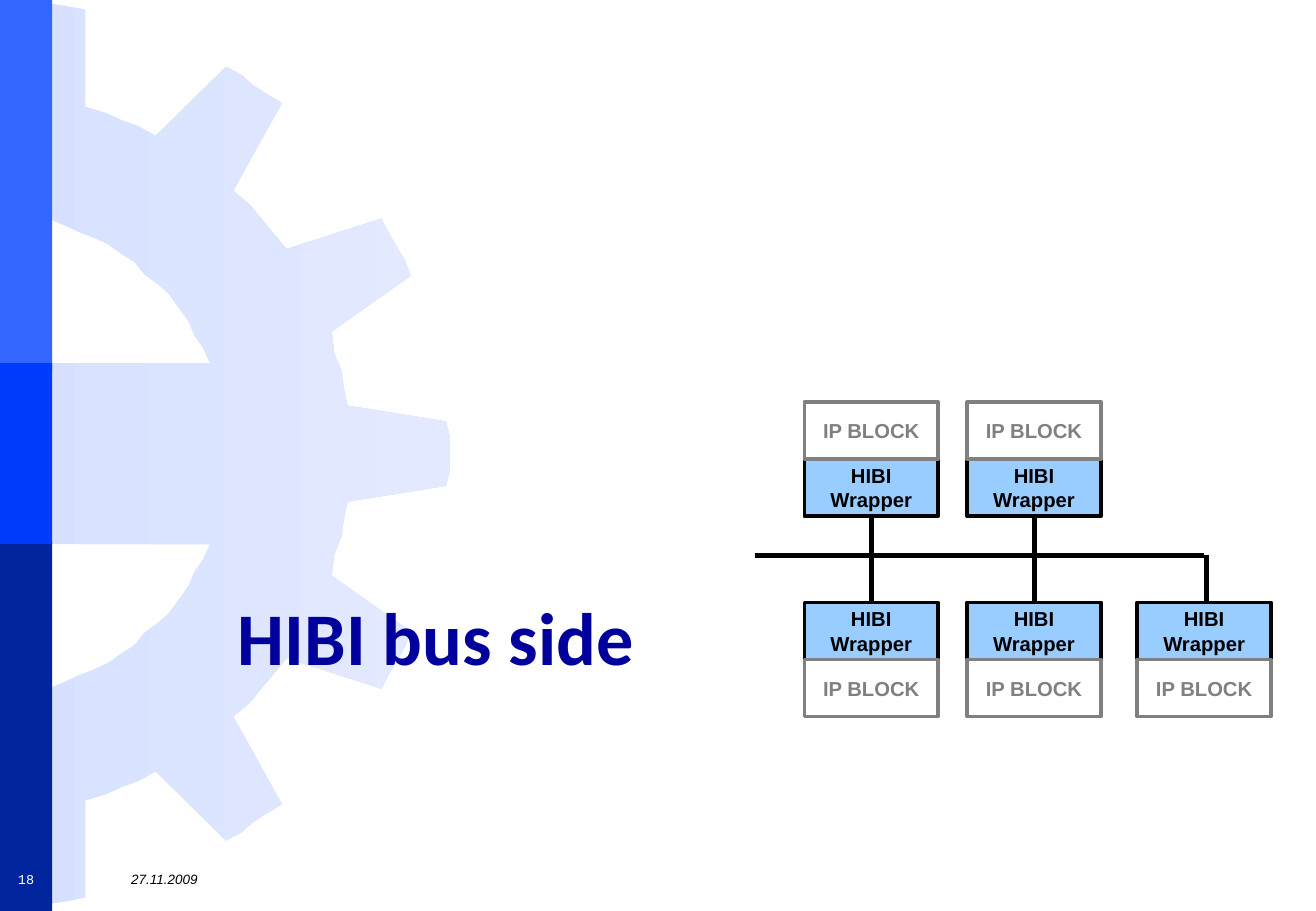
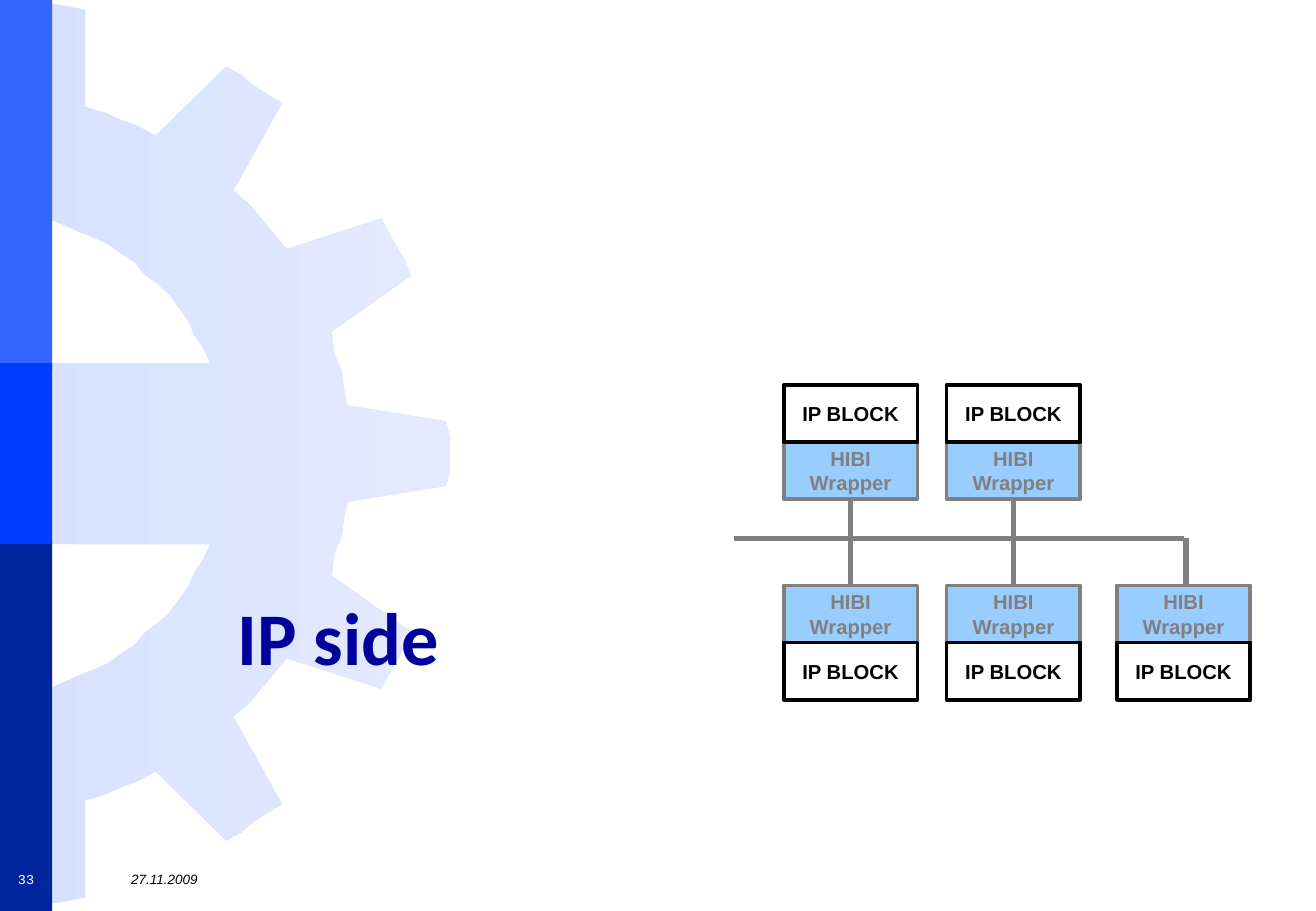
from dataclasses import dataclass

from lxml.etree import SubElement
from pptx import Presentation
from pptx.dml.color import RGBColor
from pptx.enum.shapes import MSO_CONNECTOR, MSO_SHAPE
from pptx.enum.text import MSO_ANCHOR, PP_ALIGN
from pptx.oxml.ns import qn
from pptx.util import Pt

PX = 9144  # 100 px to the inch


@dataclass(frozen=True)
class Theme:
    # Colours
    title: str = "00009C"
    sky: str = "99CCFF"
    white: str = "FFFFFF"
    black: str = "000000"
    grey: str = "808080"
    gear: tuple = ("D7E1FF", "E3EAFF")
    # Fonts, type sizes and line widths
    head: str = "Calibri"
    body: str = "Arial"
    mono: str = "Courier New"
    big: int = 44
    label: int = 12
    small: int = 8
    edge: float = 2.25
    wire: float = 3


T = Theme()

# Side bands: top, height, colour
BANDS = [(0, 305, "3366FF"), (446, 304, "00259C"), (299, 149, "003CFC")]
BAND_W = 43

# Upper half of the gear; the lower half mirrors it
MIRROR = 747
GEAR = [
    (0, 299), (173, 299), (167, 286), (160, 276), (155, 264), (147, 253),
    (139, 242), (130, 234), (119, 226), (111, 216), (100, 209), (89, 201),
    (78, 196), (65, 191), (54, 186), (42, 181), (28, 180), (14, 176),
    (14, 0), (29, 1), (42, 3), (55, 5), (70, 8), (70, 88), (87, 93),
    (100, 99), (114, 104), (128, 112), (186, 55), (199, 62), (208, 70),
    (219, 77), (232, 85), (192, 157), (206, 169), (215, 180), (225, 192),
    (236, 205), (314, 180), (320, 192), (327, 204), (333, 214), (338, 227),
    (273, 273), (275, 291), (281, 305), (283, 320), (286, 334), (367, 347),
    (370, 359), (370, 373),
]

# Bus diagram
BOX_W, BOX_H = 110, 47
COLS = [(662, 717, True), (796, 851, True), (936, 993, False)]  # left, tap, upper
BUS_Y, BUS_X1, BUS_X2 = 457, 621, 991
UP_Y, LOW_Y = 378, 496  # tops of the wrappers


def tint(name):
    return RGBColor.from_string(name)


def style(frame, size, font, ink, bold=False, italic=False, align=PP_ALIGN.LEFT):
    frame.word_wrap = True
    for para in frame.paragraphs:
        para.alignment = align
        for run in para.runs:
            face = run.font
            face.size, face.name = Pt(size), font
            face.bold, face.italic = bold, italic
            face.color.rgb = tint(ink)


def text(slide, words, x, y, w, h, *look, anchor=MSO_ANCHOR.MIDDLE, **more):
    frame = slide.shapes.add_textbox(x * PX, y * PX, w * PX, h * PX).text_frame
    frame.text = words
    frame.vertical_anchor = anchor
    style(frame, *look, **more)


def block(shapes, kind, x, y, w, h, fill):
    shape = shapes.add_shape(kind, x * PX, y * PX, w * PX, h * PX)
    shape.shadow.inherit = False
    shape.fill.solid()
    shape.fill.fore_color.rgb = tint(fill)
    shape.line.fill.background()
    return shape


def box(shapes, words, x, y, fill, ink):
    shape = block(shapes, MSO_SHAPE.FLOWCHART_PROCESS, x, y, BOX_W, BOX_H, fill)
    shape.line.color.rgb = tint(ink)
    shape.line.width = Pt(T.edge)
    frame = shape.text_frame
    frame.text = words
    frame.vertical_anchor = MSO_ANCHOR.MIDDLE
    style(frame, T.label, T.body, ink, bold=True, align=PP_ALIGN.CENTER)


def wire(shapes, x1, y1, x2, y2, ink):
    line = shapes.add_connector(
        MSO_CONNECTOR.STRAIGHT, x1 * PX, y1 * PX, x2 * PX, y2 * PX)
    line.line.color.rgb = tint(ink)
    line.line.width = Pt(T.wire)
    SubElement(line._element.spPr, qn("a:effectLst"))


def gear(shapes):
    lower = [(x, MIRROR - y) for x, y in reversed(GEAR)]
    start, *rest = GEAR + lower
    path = shapes.build_freeform(*start, scale=PX)
    path.add_line_segments(rest, close=True)
    shape = path.convert_to_shape()
    shape.shadow.inherit = False
    shape.line.fill.background()
    shape.fill.gradient()
    shape.fill.gradient_angle = 0
    for stop, hue in zip(shape.fill.gradient_stops, T.gear):
        stop.color.rgb = tint(hue)


def frame_slide(deck, title, number):
    """Add a slide with the shared gear, bands, title and footer."""
    slide = deck.slides.add_slide(deck.slide_layouts[6])
    gear(slide.shapes)
    for top, high, hue in BANDS:
        block(slide.shapes, MSO_SHAPE.RECTANGLE, 0, top, BAND_W, high, hue)
    text(slide, title, 186, 482, 820, 149, T.big, T.head, T.title,
         bold=True, anchor=MSO_ANCHOR.TOP)
    text(slide, "27.11.2009", 98, 711, 939, 26, T.small, T.body, T.black,
         italic=True)
    text(slide, number, 0, 711, BAND_W, 26, T.small, T.mono, T.white,
         align=PP_ALIGN.CENTER)
    return slide


def diagram(slide, dx, dy, bus_ink, ip_ink):
    """Draw the bus with its wrappers and IP blocks, moved by dx, dy."""
    shapes = slide.shapes.add_group_shape().shapes
    bus, up, low = BUS_Y + dy, UP_Y + dy, LOW_Y + dy
    # Bus and taps
    wire(shapes, BUS_X1 + dx, bus, BUS_X2 + dx, bus, bus_ink)
    for _, tap, upper in COLS:
        top = up + BOX_H if upper else bus
        wire(shapes, tap + dx, low, tap + dx, top, bus_ink)
    # Wrappers next to the bus, IP blocks on their outer side
    for left, _, upper in COLS:
        pairs = [(low, low + BOX_H)]
        if upper:
            pairs.append((up, up - BOX_H))
        for near, far in pairs:
            box(shapes, "HIBI\nWrapper", left + dx, near, T.sky, bus_ink)
            box(shapes, "IP BLOCK", left + dx, far, T.white, ip_ink)


def main():
    deck = Presentation()
    deck.slide_width, deck.slide_height = 1083 * PX, 750 * PX
    diagram(frame_slide(deck, "HIBI bus side", "18"), 0, 0, T.black, T.grey)
    diagram(frame_slide(deck, "IP side", "33"), -17, -14, T.grey, T.black)
    deck.save("out.pptx")


if __name__ == "__main__":
    main()
